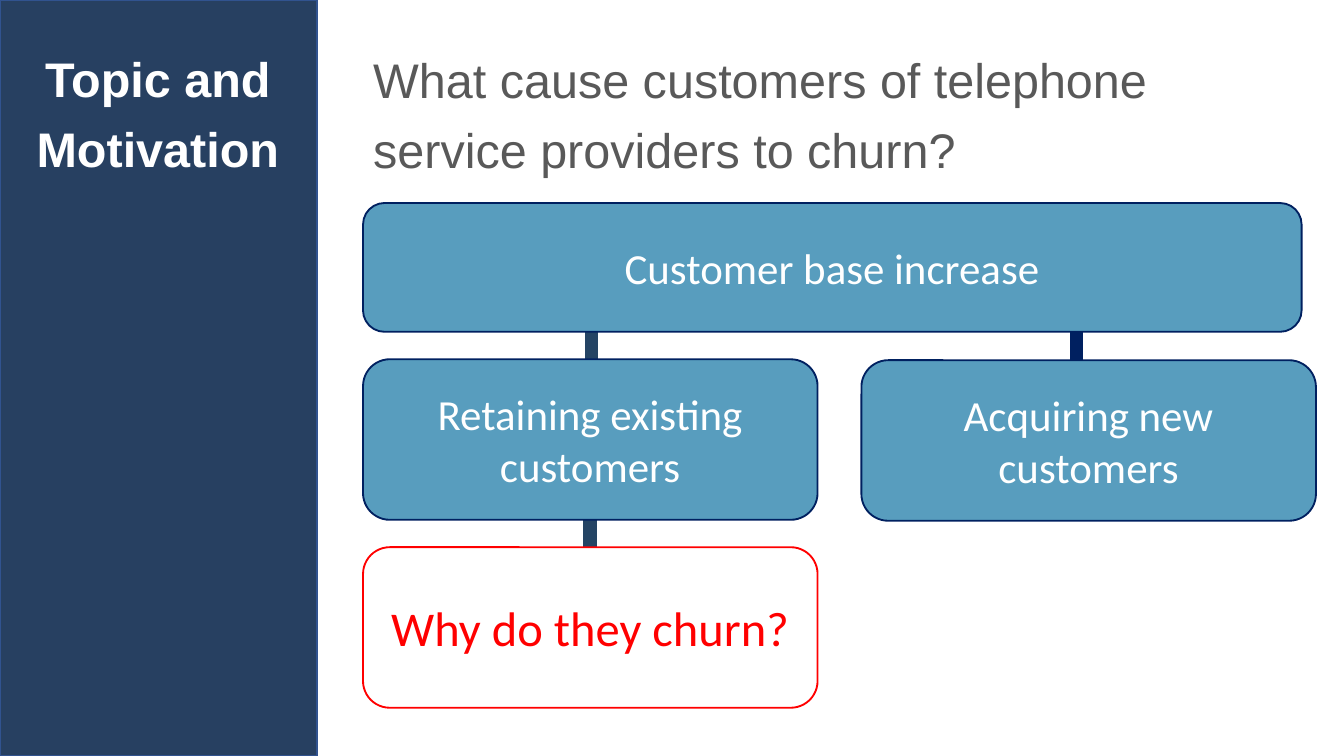
import lxml.etree
import pptx
import pptx.dml.color
import pptx.enum.shapes
import pptx.enum.text
import pptx.oxml.ns
import pptx.util

Pt = pptx.util.Pt
Shape = pptx.enum.shapes.MSO_SHAPE
Align = pptx.enum.text.PP_ALIGN
Anchor = pptx.enum.text.MSO_ANCHOR


def tint(code):
    return pptx.dml.color.RGBColor.from_string(code)


def write(shape, text, size=23, font="Calibri", color="FFFFFF", bold=False,
          align=Align.CENTER, anchor=Anchor.MIDDLE, space=1.0):
    frame = shape.text_frame
    frame.word_wrap = True
    frame.vertical_anchor = anchor
    frame.margin_left = frame.margin_right = Pt(5.4)
    frame.margin_top = frame.margin_bottom = Pt(2.7)
    para = frame.paragraphs[0]
    para.alignment = align
    para.line_spacing = space
    run = para.add_run()
    run.text = text
    run.font.size = Pt(size)
    run.font.name = font
    run.font.bold = bold
    run.font.color.rgb = tint(color)


class Board:
    blue = "589DBE"
    navy = "002060"
    slate = "244464"
    red = "FF0000"

    def __init__(self, slide):
        self.slide = slide

    def box(self, left, top, width, height, fill=blue, edge=navy,
            kind=Shape.ROUNDED_RECTANGLE):
        shape = self.slide.shapes.add_shape(
            kind, Pt(left), Pt(top), Pt(width), Pt(height))
        shape.shadow.inherit = False
        shape.fill.solid()
        shape.fill.fore_color.rgb = tint(fill)
        shape.line.color.rgb = tint(edge)
        shape.line.width = Pt(1)
        return shape

    def label(self, left, top, width, height, text, **style):
        shape = self.slide.shapes.add_textbox(
            Pt(left), Pt(top), Pt(width), Pt(height))
        write(shape, text, size=26, font="Arial", space=1.2, **style)

    def link(self, x, top, end, color=slate):
        line = self.slide.shapes.add_connector(
            pptx.enum.shapes.MSO_CONNECTOR.STRAIGHT,
            Pt(x), Pt(top), Pt(x), Pt(end))
        line.line.color.rgb = tint(color)
        line.line.width = Pt(7.25)
        lxml.etree.SubElement(line._element.spPr,
                              pptx.oxml.ns.qn("a:effectLst"))


def main():
    deck = pptx.Presentation()
    deck.slide_width, deck.slide_height = Pt(720), Pt(405)
    board = Board(deck.slides.add_slide(deck.slide_layouts[6]))

    left, right = 194.5, 461.5
    wide, high = 243.5, 86
    first, second, third = 108.8, 192.5, 293.2

    board.link(316.2, second + high - 3.5, third)
    board.link(316.8, first + 65.5, second)
    board.link(576.7, first + 65.5, second + 0.5, Board.navy)

    board.box(0, 0, 170, 405, "274061", "31538F", Shape.RECTANGLE)
    board.label(-16.6, 18, 202.6, 78.5, "Topic and Motivation", bold=True)
    board.label(left, 18, 486.7, 85.7,
                "What cause customers of telephone service providers to churn?",
                color="595959", align=Align.LEFT, anchor=Anchor.TOP)

    write(board.box(left, first, 502.8, 69), "Customer base increase")
    write(board.box(left, second, wide, high), "Retaining existing customers")
    write(board.box(right, second + 0.5, wide, high), "Acquiring new customers")
    write(board.box(left, third, wide, high, "FFFFFF", Board.red),
          "Why do they churn?", size=26, color=Board.red)

    deck.save("out.pptx")


if __name__ == "__main__":
    main()
